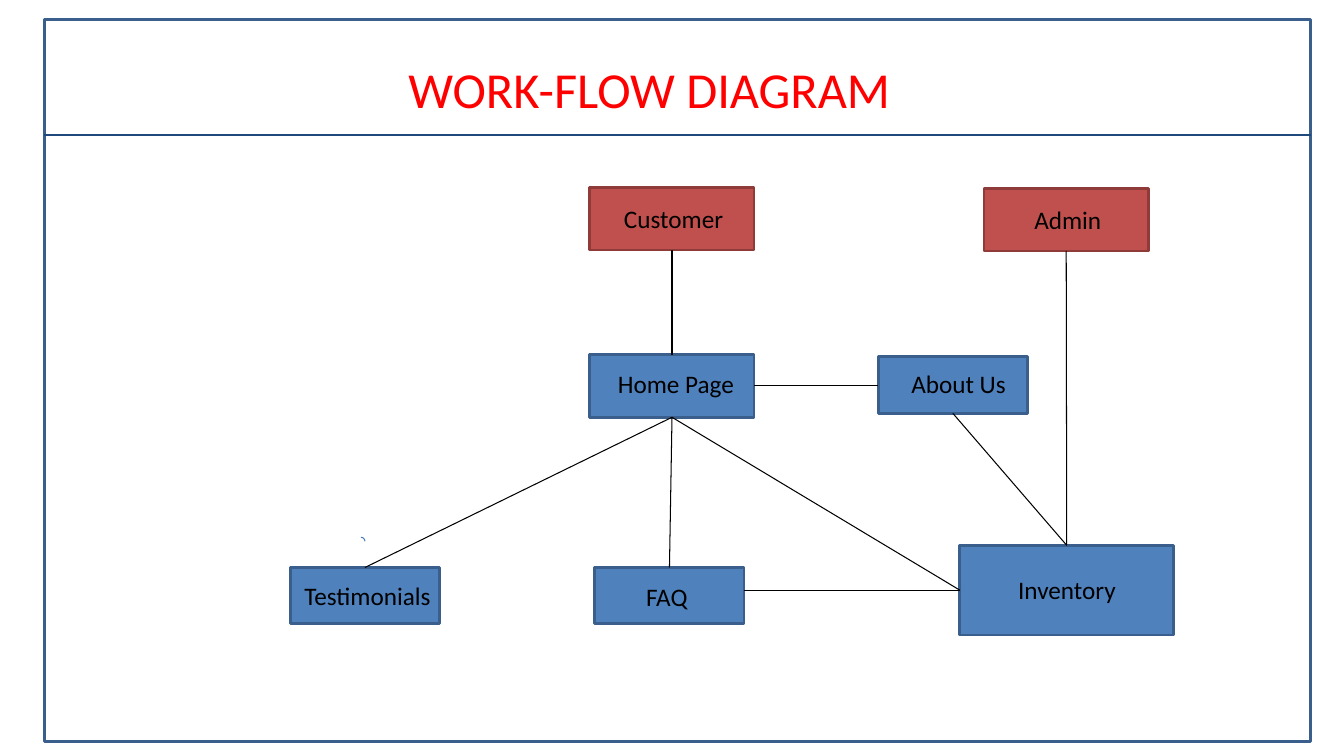
from lxml import etree
from pptx import Presentation
from pptx.dml.color import RGBColor
from pptx.enum.shapes import MSO_CONNECTOR, MSO_SHAPE
from pptx.enum.text import MSO_ANCHOR, PP_ALIGN
from pptx.oxml.ns import qn
from pptx.util import Inches, Pt

FRAME_BLUE = RGBColor(0x3A, 0x5F, 0x8C)
RULE_NAVY = RGBColor(0x1F, 0x49, 0x7D)
PAGE_BLUE = RGBColor(0x4F, 0x81, 0xBD)
ARC_BLUE = RGBColor(0x4B, 0x7E, 0xBC)
USER_RED = RGBColor(0xC0, 0x50, 0x4D)
USER_EDGE = RGBColor(0x8E, 0x3B, 0x39)
TITLE_RED = RGBColor(0xFF, 0x00, 0x00)
BLACK = RGBColor(0x00, 0x00, 0x00)
FONT = "Calibri"

USER = (USER_RED, USER_EDGE)
PAGE = (PAGE_BLUE, FRAME_BLUE)

# Name: colours, box within the diagram, label offset and width within the box
NODES = {
    "Home Page": (PAGE, (2.97, 1.66, 1.63, 0.62), (0.18, 0.09, 1.48)),
    "Inventory": (PAGE, (6.64, 3.55, 2.12, 0.89), (0.48, 0.24, 1.67)),
    "FAQ": (PAGE, (3.02, 3.77, 1.48, 0.56), (0.41, 0.09, 1.24)),
    "Testimonials": (PAGE, (0, 3.77, 1.48, 0.56), (0.04, 0.08, 1.48)),
    "About Us": (PAGE, (5.83, 1.68, 1.48, 0.56), (0.23, 0.07, 1.22)),
    "Customer": (USER, (2.97, 0, 1.63, 0.62), (0.24, 0.11, 1.35)),
    "Admin": (USER, (6.88, 0.01, 1.63, 0.62), (0.4, 0.11, 1.36)),
}

# Connection sites of a rectangle
TOP, LEFT, BOTTOM, RIGHT = range(4)
LINKS = [
    ("Customer", BOTTOM, "Home Page", TOP),
    ("Home Page", BOTTOM, "Testimonials", TOP),
    ("Home Page", BOTTOM, "FAQ", TOP),
    ("Home Page", BOTTOM, "Inventory", LEFT),
    ("Home Page", RIGHT, "About Us", LEFT),
    ("About Us", BOTTOM, "Inventory", TOP),
    ("FAQ", RIGHT, "Inventory", LEFT),
    ("Admin", BOTTOM, "Inventory", TOP),
]


def add_outline(page, kind, left, top, width, height, edge, weight, fill=None):
    shape = page.shapes.add_shape(
        kind, Inches(left), Inches(top), Inches(width), Inches(height))
    shape.shadow.inherit = False
    if fill is None:
        shape.fill.background()
    else:
        shape.fill.solid()
        shape.fill.fore_color.rgb = fill
    shape.line.color.rgb = edge
    shape.line.width = Pt(weight)
    return shape


def add_line(page, start, end, color, weight):
    line = page.shapes.add_connector(
        MSO_CONNECTOR.STRAIGHT, *map(Inches, start + end))
    line.line.color.rgb = color
    line.line.width = Pt(weight)
    etree.SubElement(line._element.spPr, qn("a:effectLst"))
    return line


def add_frame(page, left, top, width, height):
    add_outline(page, MSO_SHAPE.RECTANGLE, left, top, width, height, FRAME_BLUE, 2)
    rule = top + 1.15
    add_line(page, (left, rule), (left + width, rule), RULE_NAVY, 2)


def add_title(page, left, top, width, height):
    title = page.shapes.title
    title.left, title.top = Inches(left), Inches(top)
    title.width, title.height = Inches(width), Inches(height)
    title.text_frame.vertical_anchor = MSO_ANCHOR.MIDDLE
    title.text_frame.text = "WORK-FLOW DIAGRAM"
    para = title.text_frame.paragraphs[0]
    para.alignment = PP_ALIGN.CENTER
    para.font.name = FONT
    para.font.size = Pt(36)
    para.font.color.rgb = TITLE_RED


def add_label(page, text, left, top, width):
    label = page.shapes.add_textbox(
        Inches(left), Inches(top), Inches(width), Inches(0.4))
    label.text_frame.word_wrap = True
    label.text_frame.text = text
    para = label.text_frame.paragraphs[0]
    para.font.name = FONT
    para.font.size = Pt(18)
    para.font.color.rgb = BLACK


def add_diagram(page, left, top):
    # Boxes
    boxes = {}
    for name, ((fill, edge), (x, y, width, height), _) in NODES.items():
        boxes[name] = add_outline(page, MSO_SHAPE.RECTANGLE, left + x, top + y,
                                  width, height, edge, 2, fill)

    # Connections; sideways ones stay level with their target
    for source, source_site, target, target_site in LINKS:
        link = add_line(page, (left, top), (left, top), BLACK, 0.75)
        link.begin_connect(boxes[source], source_site)
        link.end_connect(boxes[target], target_site)
        if source_site == RIGHT:
            link.begin_y = link.end_y

    # Small arc above Testimonials
    add_outline(page, MSO_SHAPE.ARC, left + 0.66, top + 3.47, 0.08, 0.08,
                ARC_BLUE, 0.75)

    # Labels
    for name, (_, (x, y, *_), (dx, dy, width)) in NODES.items():
        add_label(page, name, left + x + dx, top + y + dy, width)


def main():
    deck = Presentation()
    deck.slide_width, deck.slide_height = Inches(13.33), Inches(7.5)
    page = deck.slides.add_slide(deck.slide_layouts[5])
    add_frame(page, 0.44, 0.19, 12.56, 7.17)
    add_title(page, 0.44, 0.25, 12, 1.25)
    add_diagram(page, 2.88, 1.86)
    deck.save("out.pptx")


if __name__ == "__main__":
    main()
